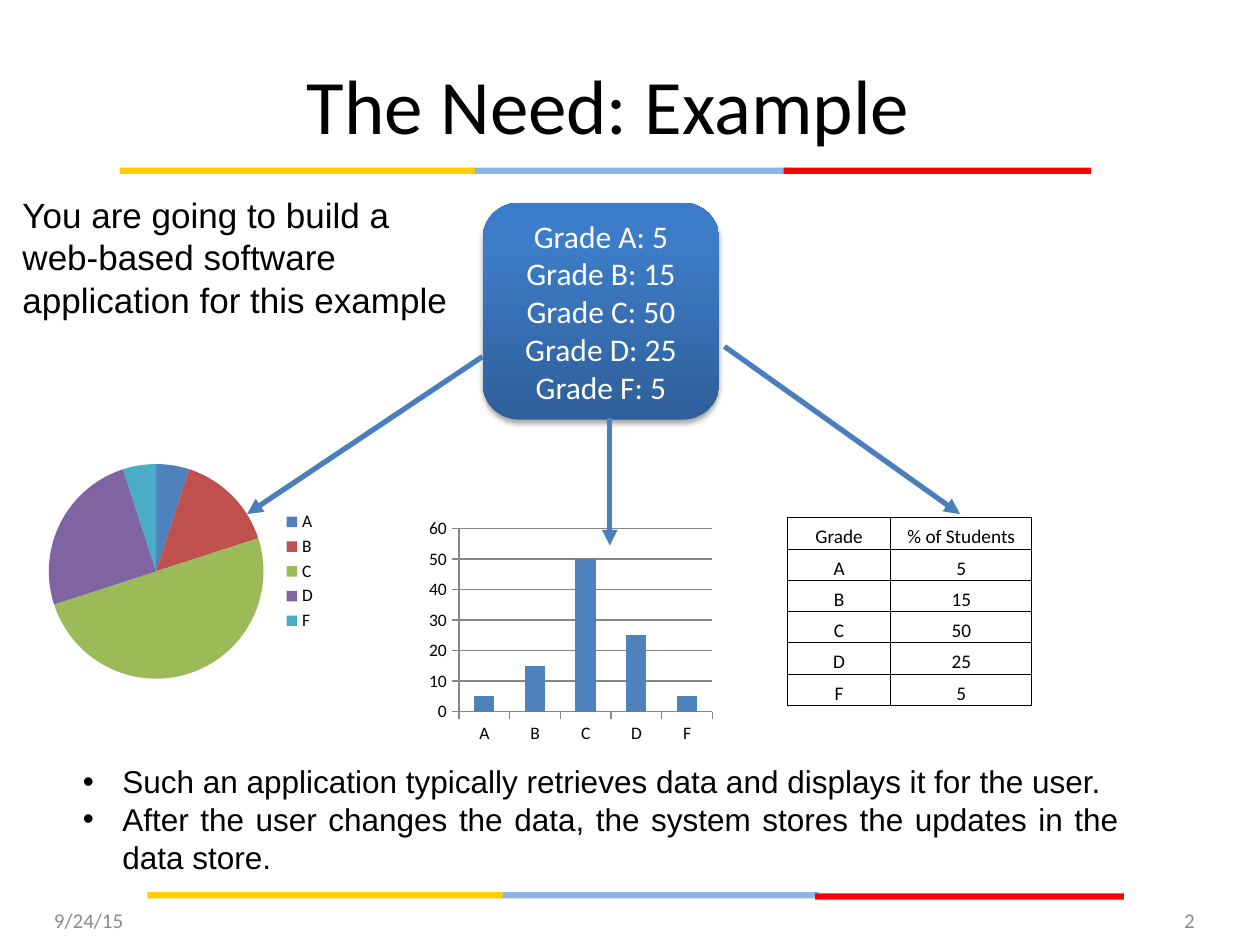
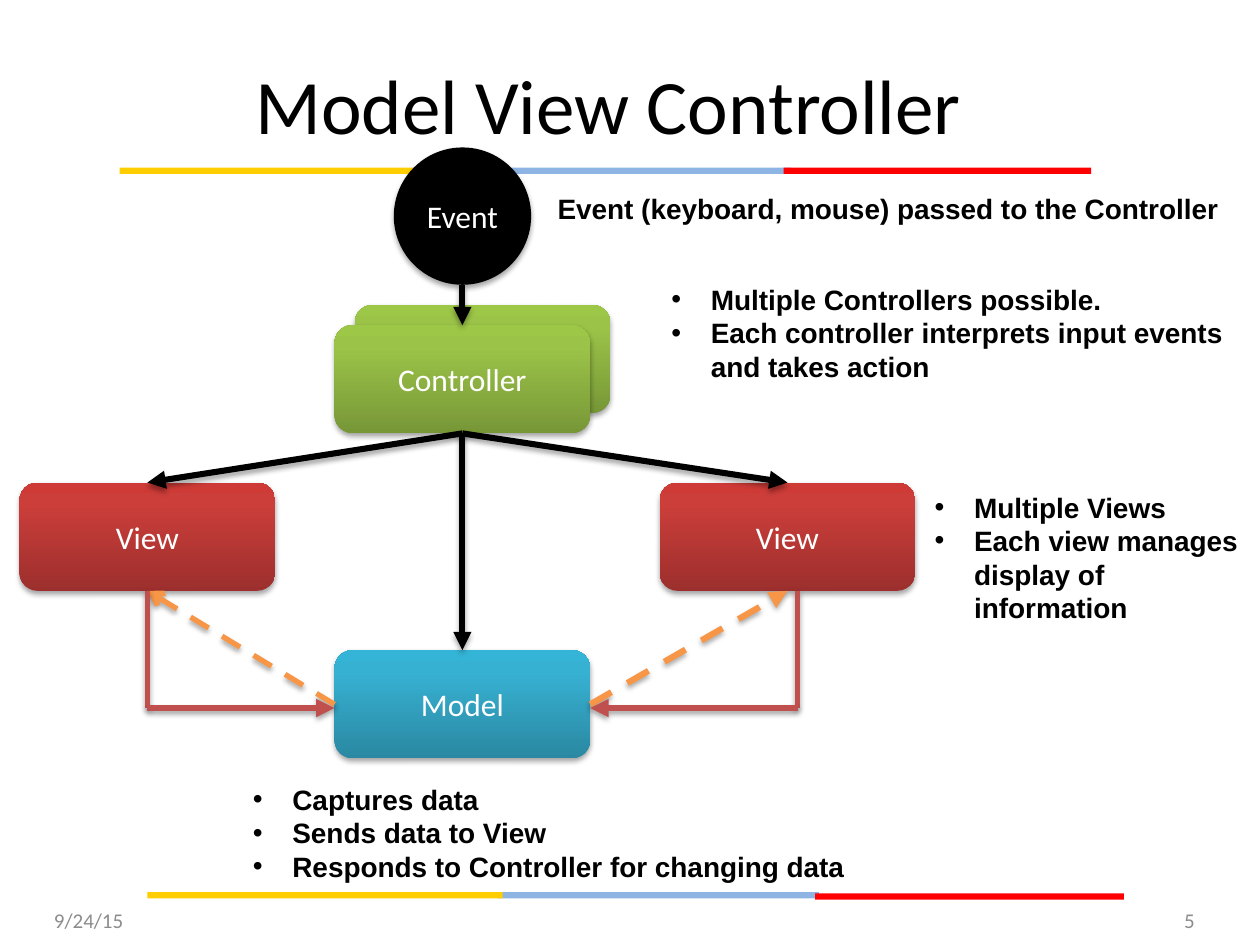
from dataclasses import dataclass

from lxml.etree import SubElement
from pptx import Presentation
from pptx.chart.data import CategoryChartData
from pptx.dml.color import RGBColor
from pptx.enum.chart import XL_CHART_TYPE, XL_LEGEND_POSITION, XL_TICK_MARK
from pptx.enum.dml import MSO_LINE
from pptx.enum.shapes import MSO_CONNECTOR, MSO_SHAPE
from pptx.enum.text import MSO_ANCHOR, PP_ALIGN
from pptx.oxml.ns import qn
from pptx.util import Emu, Inches, Pt


@dataclass(frozen=True)
class Theme:
    heading: str = "Calibri"
    body: str = "Arial"
    black: str = "000000"
    white: str = "FFFFFF"
    grey: str = "8C8C8C"
    axis: str = "868686"
    yellow: str = "FFCE00"
    sky: str = "8EB4E3"
    red: str = "FF0000"
    arrow_blue: str = "4B7EBC"
    orange: str = "F79646"
    brick: str = "C0504D"
    series: tuple = ("4F81BD", "C0504D", "9BBB59", "8064A2", "4BACC6")
    # Gradient colours from bottom to top
    blue_box: tuple = ("2F5F99", "3D7CC7", "3A7CCB")
    green_box: tuple = ("779737", "9BC348", "9DC746")
    red_box: tuple = ("9C2F2D", "CB3E3A", "CE3B37")
    teal_box: tuple = ("2A88A2", "37B1D2", "34B4D6")
    title_size: int = 44
    intro_size: int = 20
    text_size: int = 18
    note_size: int = 16
    footer_size: int = 12
    table_size: int = 11
    chart_size: int = 10


THEME = Theme()
COLUMNS, ROWS = 10, 7.5  # grid of one-inch cells
DATE = "9/24/15"

# Each band piece: colour, left, top, width
BANDS = [
    (THEME.sky, 3.73, 1.33, 2.55), (THEME.red, 6.22, 1.33, 2.44), (THEME.yellow, 0.95, 1.33, 2.82),
    (THEME.sky, 3.95, 7.08, 2.55), (THEME.red, 6.47, 7.09, 2.45), (THEME.yellow, 1.17, 7.08, 2.82),
]
BAND_HEIGHT = 0.05

GRADES = {"A": 5, "B": 15, "C": 50, "D": 25, "F": 5}
GRADE_BOX = (3.83, 1.61, 1.88, 1.72)
GRADE_ARROWS = [((3.83, 2.83), (1.96, 4.08)),
                ((4.84, 3.32), (4.84, 4.33)),
                ((5.75, 2.75), (7.62, 4.08))]
INTRO = "You are going to build a web-based software application for this example"
USES = ["Such an application typically retrieves data and displays it for the user.",
        "After the user changes the data, the system stores the updates in the data store."]

NODE_WIDTH, NODE_HEIGHT = 2.03, 0.86
LEFT, CENTRE, RIGHT = 1.17, 3.67, 6.25
CONTROLLER_TOP, VIEW_TOP, MODEL_TOP = 2.58, 3.83, 5.16
STACK_SHIFT = 0.16
EVENT_TOP, EVENT_SIZE = 1.17, 1.09
# Label, centre, top, gradient
NODES = [
    ("Controller", CENTRE + STACK_SHIFT, CONTROLLER_TOP - STACK_SHIFT, THEME.green_box),
    ("Controller", CENTRE, CONTROLLER_TOP, THEME.green_box),
    ("View", LEFT, VIEW_TOP, THEME.red_box),
    ("View", RIGHT, VIEW_TOP, THEME.red_box),
    ("Model", CENTRE, MODEL_TOP, THEME.teal_box),
]
EVENT_NOTE = "Event (keyboard, mouse) passed to the Controller"
NOTES = [
    ((5.23, 2.19, 4.68, 0.91),
     ["Multiple Controllers possible.", "Each controller interprets input events and takes action"]),
    ((7.32, 3.84, 2.68, 1.18),
     ["Multiple Views", "Each view manages display of information"]),
    ((1.91, 6.16, 5.17, 0.91),
     ["Captures data", "Sends data to View", "Responds to Controller for changing data"]),
]


def rgb(colour):
    return RGBColor.from_string(colour)


def place(box):
    return [Inches(length) for length in box]


def set_effects(shape, shadow):
    """Replace inherited effects by a soft drop shadow or by none; call after fill and line."""
    effects = SubElement(shape._element.spPr, qn("a:effectLst"))
    if shadow:
        outer = SubElement(effects, qn("a:outerShdw"), blurRad=str(Pt(3.1)), dist=str(Pt(1.8)),
                           dir="5400000", rotWithShape="0")
        colour = SubElement(outer, qn("a:srgbClr"), val=THEME.black)
        SubElement(colour, qn("a:alpha"), val="35000")


def set_gradient(shape, colours):
    shape.fill.gradient()
    shape.fill.gradient_angle = 90
    stops = next(shape._element.spPr.iter(qn("a:gsLst")))
    for stop in list(stops):
        stops.remove(stop)
    for position, colour in zip((0, 80000, 100000), colours):
        stop = SubElement(stops, qn("a:gs"), pos=str(position))
        SubElement(stop, qn("a:srgbClr"), val=colour)


def write(frame, lines, size, colour=THEME.black, font=THEME.heading, align=PP_ALIGN.LEFT,
          bold=False, bullets=False, anchor=MSO_ANCHOR.TOP):
    frame.word_wrap = True
    frame.vertical_anchor = anchor
    for index, line in enumerate(lines):
        paragraph = frame.add_paragraph() if index else frame.paragraphs[0]
        paragraph.alignment = align
        if bullets:
            properties = paragraph._p.get_or_add_pPr()
            properties.set("marL", str(Pt(22.5)))
            properties.set("indent", str(-Pt(22.5)))
            SubElement(properties, qn("a:buFont"), typeface=THEME.body)
            SubElement(properties, qn("a:buChar"), char="•")
        run = paragraph.add_run()
        run.text = line
        run.font.name = font
        run.font.size = Pt(size)
        run.font.bold = bold
        run.font.color.rgb = rgb(colour)


def add_text(slide, box, lines, size, **style):
    write(slide.shapes.add_textbox(*place(box)).text_frame, lines, size, **style)


def add_filled(slide, kind, box, fill, lines=(), shadow=True):
    """Add an outline-free shape; fill is one colour or a tuple of gradient colours."""
    shape = slide.shapes.add_shape(kind, *place(box))
    if isinstance(fill, tuple):
        set_gradient(shape, fill)
    else:
        shape.fill.solid()
        shape.fill.fore_color.rgb = rgb(fill)
    shape.line.fill.background()
    set_effects(shape, shadow)
    write(shape.text_frame, lines, THEME.text_size, THEME.white,
          align=PP_ALIGN.CENTER, anchor=MSO_ANCHOR.MIDDLE)


def add_line(slide, start, end, colour, width, head="triangle", dashed=False, shadow=True):
    connector = slide.shapes.add_connector(MSO_CONNECTOR.STRAIGHT, *place(start + end))
    connector.line.color.rgb = rgb(colour)
    connector.line.width = Pt(width)
    if dashed:
        connector.line.dash_style = MSO_LINE.DASH
    if head:
        SubElement(connector.line._get_or_add_ln(), qn("a:tailEnd"), type=head)
    set_effects(connector, shadow)


def add_base_slide(presentation, title, number):
    slide = presentation.slides.add_slide(presentation.slide_layouts[6])
    for colour, left, top, width in BANDS:
        add_filled(slide, MSO_SHAPE.RECTANGLE, (left, top, width, BAND_HEIGHT), colour, shadow=False)
    add_text(slide, (0.33, 0.31, 9, 1.03), [title], THEME.title_size,
             align=PP_ALIGN.CENTER, anchor=MSO_ANCHOR.MIDDLE)
    for left, text, align in ((0.33, DATE, PP_ALIGN.LEFT), (7.25, number, PP_ALIGN.RIGHT)):
        add_text(slide, (left, 7.1, 2.33, 0.4), [text], THEME.footer_size, colour=THEME.grey,
                 align=align, anchor=MSO_ANCHOR.MIDDLE)
    return slide


def add_grade_chart(slide, kind, box):
    data = CategoryChartData()
    data.categories = list(GRADES)
    data.add_series("Series 1", list(GRADES.values()))
    chart = slide.shapes.add_chart(kind, *place(box), data).chart
    chart.has_title = False
    chart.has_legend = False
    chart.font.name = THEME.heading
    chart.font.size = Pt(THEME.chart_size)
    chart.font.color.rgb = rgb(THEME.black)
    return chart


def add_pie(slide):
    chart = add_grade_chart(slide, XL_CHART_TYPE.PIE, (0.25, 3.42, 2.36, 2.23))
    chart.has_legend = True
    chart.legend.position = XL_LEGEND_POSITION.RIGHT
    chart.legend.include_in_layout = False
    plot = chart.plots[0]
    plot.vary_by_categories = True
    for index, colour in enumerate(THEME.series):
        fill = plot.series[0].points[index].format.fill
        fill.solid()
        fill.fore_color.rgb = rgb(colour)


def add_columns(slide):
    chart = add_grade_chart(slide, XL_CHART_TYPE.COLUMN_CLUSTERED, (3.36, 4.08, 2.34, 1.86))
    plot = chart.plots[0]
    plot.vary_by_categories = False
    plot.gap_width = 150
    fill = plot.series[0].format.fill
    fill.solid()
    fill.fore_color.rgb = rgb(THEME.series[0])
    chart.value_axis.has_major_gridlines = True
    lines = [chart.value_axis.major_gridlines.format.line]
    for axis in (chart.category_axis, chart.value_axis):
        axis.major_tick_mark = XL_TICK_MARK.OUTSIDE
        lines.append(axis.format.line)
    for line in lines:
        line.color.rgb = rgb(THEME.axis)
        line.width = Pt(0.75)


def add_grade_table(slide):
    rows = [("Grade", "% of Students")] + [(grade, str(share)) for grade, share in GRADES.items()]
    box = place((6.25, 4.11, 1.94, 1.49))
    table = slide.shapes.add_table(len(rows), 2, *box).table
    table.first_row = table.horz_banding = False
    for column, width in zip(table.columns, (0.82, 1.12)):
        column.width = Inches(width)
    for row, values in zip(table.rows, rows):
        row.height = Emu(box[3] // len(rows))
        for cell, value in zip(row.cells, values):
            cell.margin_left = cell.margin_right = cell.margin_top = cell.margin_bottom = 0
            write(cell.text_frame, [value], THEME.table_size, align=PP_ALIGN.CENTER)
            cell.vertical_anchor = MSO_ANCHOR.BOTTOM
            properties = cell._tc.get_or_add_tcPr()
            for side in ("a:lnL", "a:lnR", "a:lnT", "a:lnB"):
                border = SubElement(properties, qn(side), w=str(Pt(0.5)))
                SubElement(SubElement(border, qn("a:solidFill")), qn("a:srgbClr"), val=THEME.black)
            cell.fill.background()


def build_example(presentation):
    slide = add_base_slide(presentation, "The Need: Example", "2")
    add_filled(slide, MSO_SHAPE.ROUNDED_RECTANGLE, GRADE_BOX, THEME.blue_box,
               [f"Grade {grade}: {share}" for grade, share in GRADES.items()])
    add_pie(slide)
    add_columns(slide)
    add_grade_table(slide)
    for start, end in GRADE_ARROWS:
        add_line(slide, start, end, THEME.arrow_blue, 3, shadow=False)
    add_text(slide, (0.08, 1.49, 3.58, 1.11), [INTRO], THEME.intro_size, font=THEME.body)
    add_text(slide, (0.56, 6, 8.42, 1.01), USES, THEME.text_size, font=THEME.body,
             align=PP_ALIGN.JUSTIFY, bullets=True)


def build_model_view_controller(presentation):
    slide = add_base_slide(presentation, "Model View Controller", "5")
    for label, centre, top, colours in NODES:
        box = (centre - NODE_WIDTH / 2, top, NODE_WIDTH, NODE_HEIGHT)
        add_filled(slide, MSO_SHAPE.ROUNDED_RECTANGLE, box, colours, [label])
    add_filled(slide, MSO_SHAPE.OVAL, (CENTRE - EVENT_SIZE / 2, EVENT_TOP, EVENT_SIZE, EVENT_SIZE),
               THEME.black, ["Event"])

    controller_bottom = (CENTRE, CONTROLLER_TOP + NODE_HEIGHT)
    for target in ((RIGHT, VIEW_TOP), (CENTRE, MODEL_TOP), (LEFT, VIEW_TOP)):
        add_line(slide, controller_bottom, target, THEME.black, 3.5)
    add_line(slide, (CENTRE, EVENT_TOP + EVENT_SIZE), (CENTRE, CONTROLLER_TOP), THEME.black, 3.5)

    view_bottom = VIEW_TOP + NODE_HEIGHT
    model_middle = MODEL_TOP + NODE_HEIGHT / 2
    elbow = model_middle + 0.03
    # View centre, elbow column, side of the model, dash width, dash head
    for view, column, side, width, head in ((RIGHT, RIGHT + 0.08, 1, 3.5, "triangle"),
                                            (LEFT, LEFT, -1, 3, "arrow")):
        model_edge = CENTRE + side * NODE_WIDTH / 2
        add_line(slide, (model_edge, model_middle), (view, view_bottom), THEME.orange, width,
                 head, dashed=True)
        add_line(slide, (column, view_bottom), (column, elbow), THEME.brick, 3, head=None)
        add_line(slide, (column, elbow), (model_edge, elbow), THEME.brick, 3.5)

    add_text(slide, (4.22, 1.47, 5.55, 0.37), [EVENT_NOTE], THEME.note_size, font=THEME.body,
             align=PP_ALIGN.RIGHT, bold=True)
    for box, lines in NOTES:
        add_text(slide, box, lines, THEME.note_size, font=THEME.body, bold=True, bullets=True)


def main():
    presentation = Presentation()
    presentation.slide_width, presentation.slide_height = place((COLUMNS, ROWS))
    build_example(presentation)
    build_model_view_controller(presentation)
    presentation.save("out.pptx")


if __name__ == "__main__":
    main()
